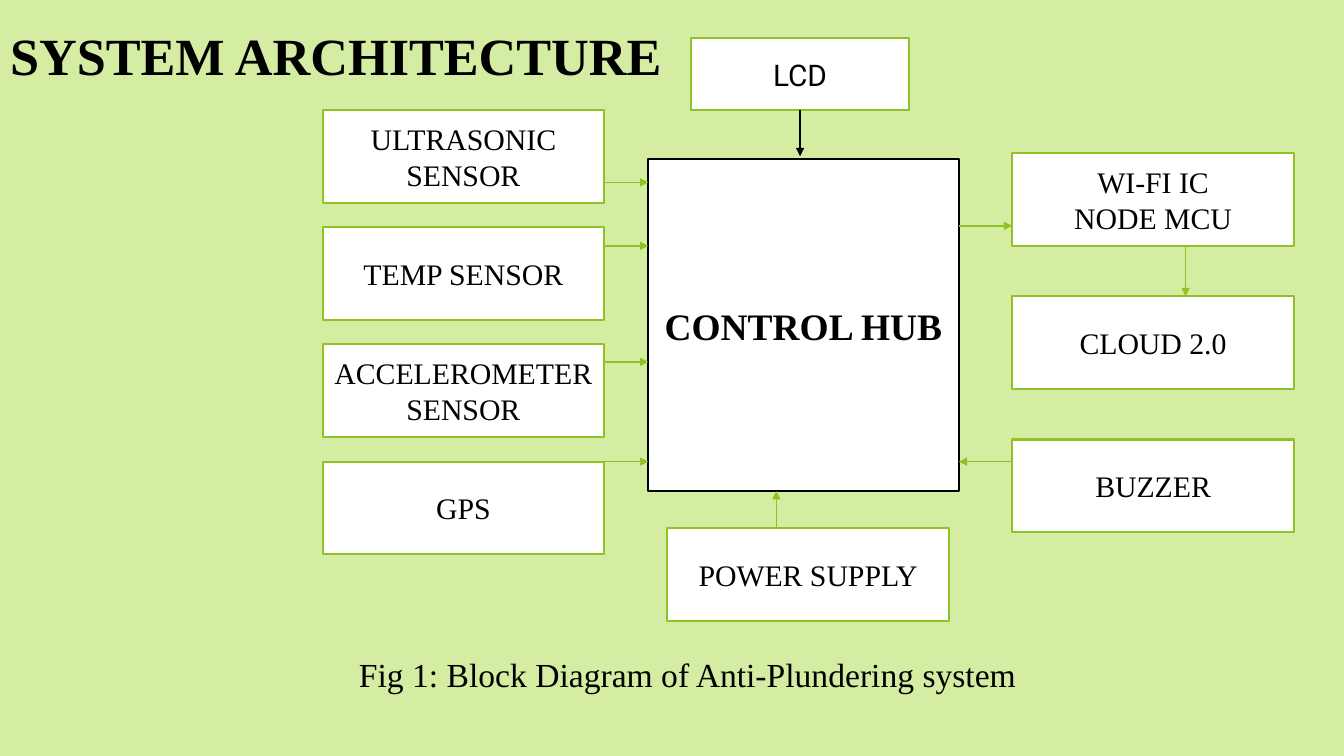
from pptx import Presentation
from pptx.dml.color import RGBColor
from pptx.enum.shapes import MSO_CONNECTOR as Link, MSO_SHAPE as Form
from pptx.enum.text import MSO_ANCHOR as Anchor, MSO_AUTO_SIZE as Fit, PP_ALIGN as Align
from pptx.oxml.ns import qn
from pptx.util import Inches, Pt
from lxml.etree import SubElement

WIDE, HIGH = Inches(13.33), Inches(7.5)
SERIF, SANS = "Times New Roman", "Roboto"
BLACK, WHITE, GREEN, PALE = "000000", "FFFFFF", "90C226", "D5EDA2"
BOX_W, BOX_H = 20.95, 12.27


def color(code):
    return RGBColor.from_string(code)


def col(share):
    return round(WIDE * share / 100)


def row(share):
    return round(HIGH * share / 100)


def area(x, y, w, h):
    return col(x), row(y), col(w), row(h)


def write(frame, text, size, face=SERIF, bold=False, align=Align.CENTER):
    frame.word_wrap = True
    frame.text = text
    for para in frame.paragraphs:
        para.alignment = align
        font = para.font
        font.name, font.size, font.bold = face, Pt(size), bold
        font.color.rgb = color(BLACK)


def block(slide, box, text, edge=GREEN, size=21.3, face=SERIF, bold=False):
    shape = slide.shapes.add_shape(Form.RECTANGLE, *area(*box))
    shape.shadow.inherit = False
    shape.fill.solid()
    shape.fill.fore_color.rgb = color(WHITE)
    shape.line.color.rgb = color(edge)
    shape.line.width = Pt(1.5)
    shape.text_frame.vertical_anchor = Anchor.MIDDLE
    write(shape.text_frame, text, size, face, bold)
    return shape


def arrow(slide, x1, y1, x2, y2, tint=GREEN):
    line = slide.shapes.add_connector(Link.STRAIGHT, col(x1), row(y1), col(x2), row(y2))
    line.line.color.rgb = color(tint)
    line.line.width = Pt(1)
    props = line._element.spPr
    SubElement(props.find(qn("a:ln")), qn("a:tailEnd"), type="triangle")
    SubElement(props, qn("a:effectLst"))
    return line


def title(slide, box):
    head = slide.shapes.title
    head.left, head.top, head.width, head.height = area(*box)
    write(head.text_frame, "SYSTEM ARCHITECTURE", 37.3, bold=True, align=Align.LEFT)
    head.text_frame.auto_size = Fit.NONE


def sensors(slide, box):
    x, y, w, h = box
    names = ["ULTRASONIC SENSOR", "TEMP SENSOR", "ACCELEROMETER SENSOR", "GPS"]
    drops = [9.6, 18, 33.34, 46.54]
    step = (h - BOX_H) / (len(names) - 1)
    for i, (name, drop) in enumerate(zip(names, drops)):
        block(slide, (x, y + i * step, BOX_W, BOX_H), name)
        arrow(slide, x + BOX_W, y + drop, x + w, y + drop)


def core(slide, box):
    x, y, w, h = box
    top, tall = y + 16, 43.87
    block(slide, (x, top, w, tall), "CONTROL HUB", BLACK, 26.7, bold=True)
    screen = block(slide, (x + 3.15, y, 16.28, 9.47), "LCD", face=SANS)
    feed = y + h - BOX_H
    block(slide, (x + 1.42, feed, BOX_W, BOX_H), "POWER SUPPLY")
    mid = x + 11.29
    arrow(slide, mid, y + 9.47, mid, top - 0.4, BLACK).begin_connect(screen, 2)
    arrow(slide, x + 9.52, feed, x + 9.52, top + tall)


def outputs(slide, box):
    x, y, w, h = box
    left = x + w - BOX_W
    step = (h - BOX_H) / 2
    for i, name in enumerate(["WI-FI IC\nNODE MCU", "CLOUD 2.0", "BUZZER"]):
        block(slide, (left, y + i * step, BOX_W, BOX_H), name)
    arrow(slide, x, y + 9.6, left, y + 9.6)
    arrow(slide, left, y + 40.8, x, y + 40.8)
    arrow(slide, x + 16.88, y + BOX_H, x + 16.88, y + step)


def caption(slide, box):
    frame = slide.shapes.add_textbox(*area(*box)).text_frame
    frame.margin_left = frame.margin_right = Inches(0.13)
    frame.margin_top = frame.margin_bottom = Inches(0.13)
    write(frame, "Fig 1: Block Diagram of Anti-Plundering system", 24, align=Align.JUSTIFY)
    frame.paragraphs[0].line_spacing = 1.07


def main():
    deck = Presentation()
    deck.slide_width, deck.slide_height = WIDE, HIGH
    slide = deck.slides.add_slide(deck.slide_layouts[5])
    slide.background.fill.solid()
    slide.background.fill.fore_color.rgb = color(PALE)
    title(slide, (0, 2.4, 57.1, 9.73))
    core(slide, (48.24, 5.07, 23.1, 77.07))
    sensors(slide, (24, 14.53, 24.24, 58.8))
    outputs(slide, (71.34, 20.27, 24.93, 50.13))
    caption(slide, (25.73, 84.4, 72.69, 9.33))
    deck.save("out.pptx")


if __name__ == "__main__":
    main()
